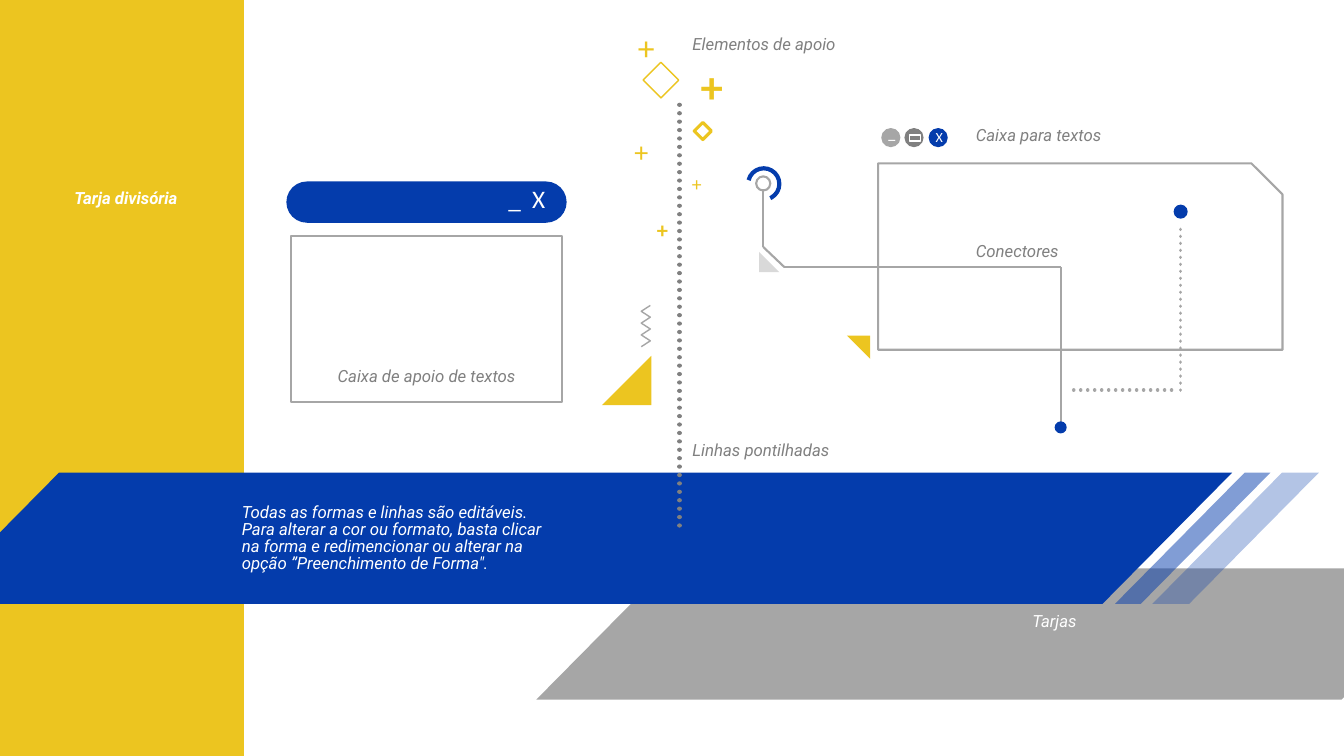
from dataclasses import dataclass

from lxml.etree import SubElement
from pptx import Presentation
from pptx.dml.color import RGBColor
from pptx.enum.dml import MSO_LINE
from pptx.enum.shapes import MSO_CONNECTOR, MSO_SHAPE
from pptx.enum.text import MSO_ANCHOR, MSO_AUTO_SIZE, PP_ALIGN
from pptx.oxml.ns import qn
from pptx.util import Inches, Pt


@dataclass(frozen=True)
class Theme:
    blue: str = "043CAC"
    yellow: str = "ECC520"
    gray: str = "A6A6A6"
    dark: str = "808080"
    pale: str = "D9D9D9"
    white: str = "FFFFFF"
    label_font: str = "Roboto"
    symbol_font: str = "Calibri"
    label: float = 12
    button: float = 10
    window: float = 18
    thin: float = 1
    outline: float = 1.5
    bold_outline: float = 2.25
    dots: float = 2.5
    thick: float = 3


THEME = Theme()


def rgb(color):
    return RGBColor.from_string(color)


def apply(target, values):
    for attribute, value in values.items():
        setattr(target, attribute, value)


def paint(outline, fill=None, line=None, width=THEME.outline, alpha=None):
    outline.shadow.inherit = False
    if fill:
        outline.fill.solid()
        outline.fill.fore_color.rgb = rgb(fill)
        if alpha:
            color = outline.fill._xPr.find(qn("a:solidFill"))[0]
            SubElement(color, qn("a:alpha"), val=str(alpha * 1000))
    else:
        outline.fill.background()
    if line:
        outline.line.color.rgb = rgb(line)
        outline.line.width = Pt(width)
    else:
        outline.line.fill.background()


def add_form(slide, preset, box, adjust=(), rotation=0, flip=False, **colors):
    form = slide.shapes.add_shape(preset, *map(Inches, box))
    for index, value in enumerate(adjust):
        form.adjustments[index] = value
    form.rotation = rotation
    if flip:
        form._element.spPr.find(qn("a:xfrm")).set("flipH", "1")
    paint(form, **colors)


def add_rule(slide, start, end, color=THEME.gray, width=THEME.outline, dotted=False):
    rule = slide.shapes.add_connector(
        MSO_CONNECTOR.STRAIGHT, *map(Inches, (*start, *end)))
    rule.line.color.rgb = rgb(color)
    rule.line.width = Pt(width)
    if dotted:
        rule.line.dash_style = MSO_LINE.ROUND_DOT
        rule.line._get_or_add_ln().set("cap", "rnd")
    SubElement(rule._element.spPr, qn("a:effectLst"))


def add_words(slide, words, box, color, size, font, paragraph_format,
              anchor=MSO_ANCHOR.TOP, bold=False, italic=False, tracking=0):
    frame = slide.shapes.add_textbox(*map(Inches, box)).text_frame
    apply(frame, {"word_wrap": True, "vertical_anchor": anchor,
                  "auto_size": MSO_AUTO_SIZE.SHAPE_TO_FIT_TEXT})
    paragraph = frame.paragraphs[0]
    apply(paragraph, paragraph_format)
    run = paragraph.add_run()
    run.text = words
    apply(run.font, {"name": font, "size": Pt(size), "bold": bold, "italic": italic})
    run.font.color.rgb = rgb(color)
    if tracking:
        run._r.get_or_add_rPr().set("spc", str(tracking))


def add_label(slide, words, box, color=THEME.dark, bold=False):
    add_words(slide, words, box, color, THEME.label, THEME.label_font,
              {"line_spacing": 0.85, "space_after": Pt(8)},
              MSO_ANCHOR.MIDDLE, bold, True)


def add_symbol(slide, symbol, box, size, color=THEME.white, bold=False, tracking=0):
    add_words(slide, symbol, box, color, size, THEME.symbol_font,
              {"alignment": PP_ALIGN.CENTER}, bold=bold, tracking=tracking)


def add_dot(slide, left, top, size, **colors):
    add_form(slide, MSO_SHAPE.OVAL, (left, top, size, size), **colors)


def add_band(slide, left, top, width, color, alpha=None):
    add_form(slide, MSO_SHAPE.PARALLELOGRAM, (left, top, width, 1.3), (0.988,),
             fill=color, alpha=alpha)


def add_corner(slide, left, top, size, color, rotation=0, flip=False):
    add_form(slide, MSO_SHAPE.RIGHT_TRIANGLE, (left, top, size, size),
             rotation=rotation, flip=flip, fill=color)


def add_bands(slide):
    add_band(slide, 5.32, 5.64, 9.27, THEME.gray)
    add_form(slide, MSO_SHAPE.RECTANGLE, (0, 0, 2.42, 7.5), fill=THEME.yellow)
    add_corner(slide, 5.97, 3.53, 0.49, THEME.yellow, flip=True)
    for left, width, alpha in ((-0.7, 12.92, None), (11.06, 1.54, 50), (11.43, 1.65, 30)):
        add_band(slide, left, 4.69, width, THEME.blue, alpha)


def add_support_elements(slide):
    add_rule(slide, (6.74, 1.04), (6.74, 5.24), THEME.dark, THEME.thick, True)
    for left, top, height, size, bold in (
            (6.74, 0.53, 0.64, 32, True), (6.04, 1.29, 0.44, 20, False),
            (6.09, 0.22, 0.5, 24, False), (6.59, 1.66, 0.34, 14, False),
            (6.25, 2.1, 0.37, 16, True)):
        add_symbol(slide, "+", (left, top, 0.64, height), size, THEME.yellow, bold)
    for left, top, size, width in ((6.43, 0.67, 0.25, THEME.thin),
                                   (6.91, 1.24, 0.12, THEME.bold_outline)):
        add_form(slide, MSO_SHAPE.RECTANGLE, (left, top, size, size), rotation=45,
                 line=THEME.yellow, width=width)
    bends = [(Inches(6.36 if i % 2 else 6.45), Inches(3.03 + 0.41 * i / 7))
             for i in range(8)]
    builder = slide.shapes.build_freeform(*bends[0])
    builder.add_line_segments(bends[1:], close=False)
    paint(builder.convert_to_shape(), line=THEME.gray, width=THEME.thin)


def add_text_frame(slide):
    add_corner(slide, 7.53, 2.5, 0.2, THEME.pale)
    add_form(slide, MSO_SHAPE.SNIP_ROUND_RECTANGLE, (8.71, 1.62, 4.01, 1.85),
             (0, 0.167), line=THEME.gray)
    add_corner(slide, 8.4, 3.33, 0.23, THEME.yellow, rotation=180)


def add_connectors(slide):
    bends = [(7.57, 1.88), (7.57, 2.45), (7.78, 2.65), (10.52, 2.65), (10.52, 4.26)]
    for start, end in zip(bends, bends[1:]):
        add_rule(slide, start, end)
    add_dot(slide, 7.5, 1.75, 0.14, line=THEME.gray)
    add_form(slide, MSO_SHAPE.ARC, (7.42, 1.67, 0.31, 0.31), (116.365, 39.233),
             line=THEME.blue, width=THEME.thick)
    add_dot(slide, 10.46, 4.18, 0.12, fill=THEME.blue)


def add_window_buttons(slide):
    for left, color in ((9.21, THEME.blue), (8.97, THEME.dark), (8.74, THEME.gray)):
        add_dot(slide, left, 1.27, 0.19, fill=color)
    add_symbol(slide, "X", (9.17, 1.23, 0.29, 0.32), THEME.button)
    add_form(slide, MSO_SHAPE.RECTANGLE, (9.02, 1.34, 0.11, 0.06),
             line=THEME.white, width=THEME.thin)
    add_symbol(slide, "_", (8.7, 1.2, 0.29, 0.32), THEME.button, bold=True)


def add_dotted_connector(slide):
    for start, end in (((11.71, 3.87), (11.71, 2.21)), ((11.62, 3.87), (10.59, 3.87))):
        add_rule(slide, start, end, width=THEME.dots, dotted=True)
    add_dot(slide, 11.64, 2.03, 0.14, fill=THEME.blue)


def add_support_window(slide):
    add_form(slide, MSO_SHAPE.RECTANGLE, (2.89, 2.34, 2.68, 1.65), line=THEME.gray)
    add_form(slide, MSO_SHAPE.ROUNDED_RECTANGLE, (2.84, 1.8, 2.78, 0.41), (0.5,),
             fill=THEME.blue)
    add_symbol(slide, "_ X", (4.84, 1.77, 0.77, 0.4), THEME.window, tracking=200)


def add_labels(slide):
    add_label(slide, "Todas as formas e linhas são editáveis. Para alterar a cor ou "
              "formato, basta clicar na forma e redimencionar ou alterar na opção "
              "”Preenchimento de Forma\".", (2.3, 4.95, 3.28, 0.79), THEME.white)
    add_label(slide, "Tarja divisória", (0.64, 1.76, 1.3, 0.44), THEME.white, True)
    for words, left, top, width in (
            ("Caixa de apoio de textos", 3.25, 3.61, 2.2),
            ("Linhas pontilhadas", 6.77, 4.34, 1.63),
            ("Elementos de apoio", 6.77, 0.32, 1.63),
            ("Conectores", 9.58, 2.37, 1.13),
            ("Caixa para textos", 9.58, 1.22, 2.13)):
        add_label(slide, words, (left, top, width, 0.27))
    add_label(slide, "Tarjas", (10.14, 6.04, 0.75, 0.27), THEME.white)


def main():
    deck = Presentation()
    apply(deck, {"slide_width": Inches(13.33), "slide_height": Inches(7.5)})
    slide = deck.slides.add_slide(deck.slide_layouts[6])
    for add_part in (add_bands, add_support_elements, add_text_frame, add_connectors,
                     add_window_buttons, add_dotted_connector, add_support_window,
                     add_labels):
        add_part(slide)
    deck.save("out.pptx")


if __name__ == "__main__":
    main()
